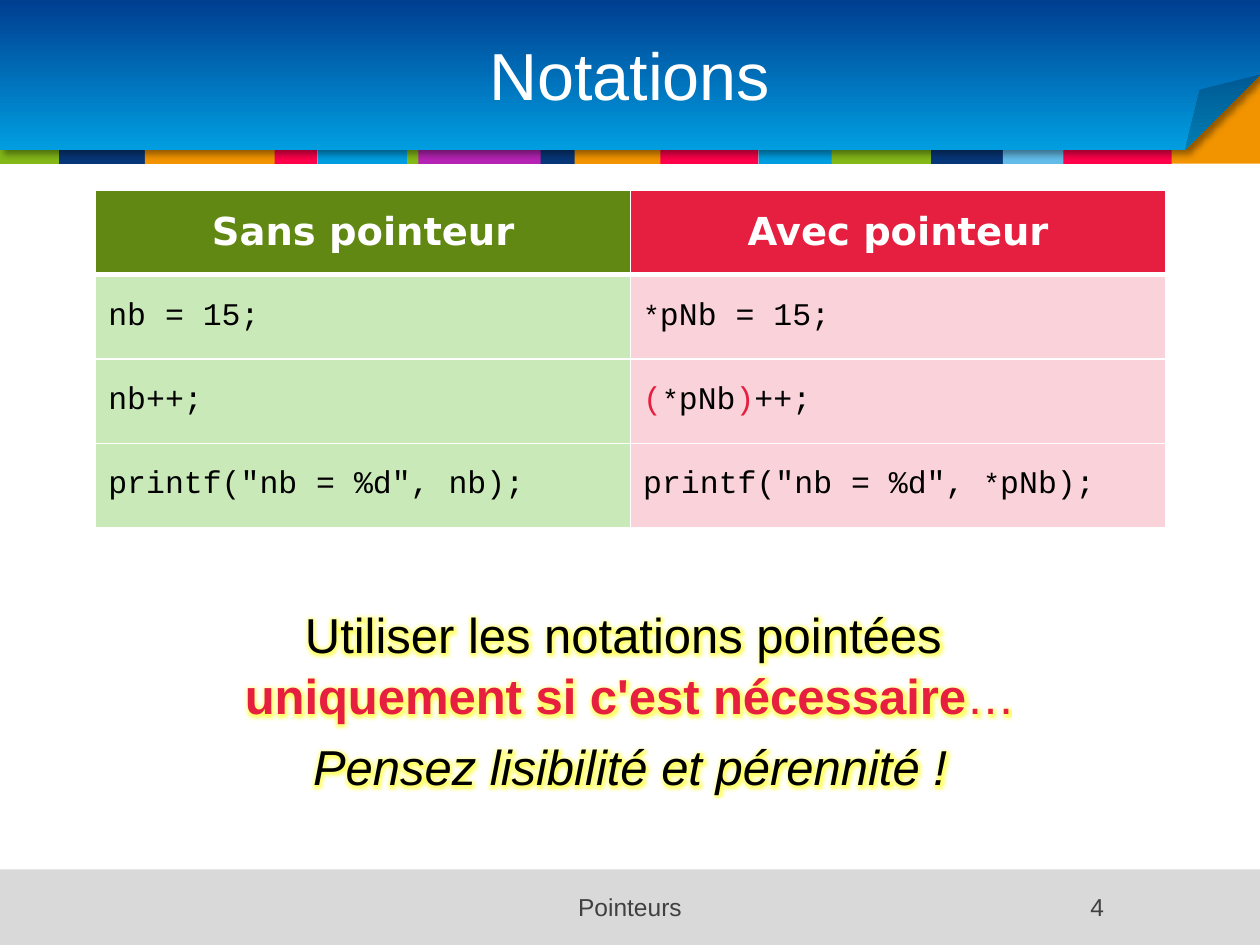
from lxml.etree import SubElement
from pptx import Presentation
from pptx.dml.color import RGBColor
from pptx.enum.shapes import MSO_SHAPE
from pptx.enum.text import MSO_ANCHOR, PP_ALIGN
from pptx.oxml import parse_xml
from pptx.oxml.ns import nsdecls, qn
from pptx.util import Inches, Pt

GREEN, ORANGE, NAVY, PINK = "83B818", "F29400", "073779", "FF014B"
BLUE, SKY, PURPLE = "009EE0", "62BCE9", "B523B4"
WHITE, BLACK, RED, GREY = "FFFFFF", "000000", "E61E3F", "404040"

# left, width, colour, from back to front
STRIPS = [
    (2.97, 0.51, GREEN), (0, 0.51, GREEN), (0.47, 0.69, NAVY),
    (1.15, 1.1, ORANGE), (2.18, 0.34, PINK), (2.52, 0.71, BLUE),
    (3.32, 1.01, PURPLE), (4.29, 0.28, NAVY), (4.56, 0.71, ORANGE),
    (5.24, 0.78, PINK), (6.02, 0.61, BLUE), (6.6, 0.91, GREEN),
    (7.39, 0.58, NAVY), (7.96, 0.5, SKY), (8.44, 0.86, PINK),
]

HEADERS = [("Sans pointeur", "618812"), ("Avec pointeur", RED)]
COLUMN_FILLS = ["C9EAB8", "FAD2D9"]
STAR = ("*", 16, BLACK)
CODE_ROWS = [
    ([("nb = 15;", 18, BLACK)],
     [STAR, ("pNb = 15;", 18, BLACK)]),
    ([("nb++;", 18, BLACK)],
     [("(", 18, RED), STAR, ("pNb", 18, BLACK), (")", 18, RED),
      ("++;", 18, BLACK)]),
    ([('printf("nb = %d", nb);', 18, BLACK)],
     [('printf("nb = %d", ', 18, BLACK), STAR, ("pNb);", 18, BLACK)]),
]


def rgb(color):
    return RGBColor.from_string(color)


def add_run(p, text, size, color, font="Arial", bold=False, italic=False):
    r = p.add_run()
    r.text = text
    r.font.size = Pt(size)
    r.font.name = font
    r.font.bold = bold
    r.font.italic = italic
    r.font.color.rgb = rgb(color)
    return r


def add_block(s, left, top, width, height, color, kind=MSO_SHAPE.RECTANGLE):
    sp = s.shapes.add_shape(kind, Inches(left), Inches(top), Inches(width), Inches(height))
    sp.shadow.inherit = False
    sp.line.fill.background()
    sp.fill.solid()
    sp.fill.fore_color.rgb = rgb(color)
    return sp


def add_text_box(s, left, top, width, height):
    sp = s.shapes.add_textbox(Inches(left), Inches(top), Inches(width), Inches(height))
    sp.text_frame.word_wrap = True
    return sp.text_frame


def add_band(s):
    """Blue header with a folded corner, fading from light at the bottom to dark."""
    sp = add_block(s, 0, 0, 10, 1.19, BLUE, MSO_SHAPE.FOLDED_CORNER)
    sp_pr = sp.element.spPr
    guides = sp_pr.find(qn("a:prstGeom")).get_or_add_avLst()
    for guide in list(guides):
        guides.remove(guide)
    SubElement(guides, qn("a:gd"), name="adj", fmla="val 50000")
    sp.fill.gradient()
    sp.fill.gradient_angle = 90
    for stop, color in zip(sp.fill.gradient_stops, (BLUE, "003E90")):
        stop.color.rgb = rgb(color)
    effects = sp_pr.find(qn("a:effectLst"))
    shadow = SubElement(effects, qn("a:outerShdw"), blurRad=str(Pt(4)),
                        dist=str(Pt(3)), dir="2700000", rotWithShape="0")
    color = SubElement(shadow, qn("a:srgbClr"), val=BLACK)
    SubElement(color, qn("a:alpha"), val="40000")


def set_title(s, text):
    title = s.shapes.title
    title.left, title.top = Inches(0.5), Inches(0.07)
    title.width, title.height = Inches(9), Inches(1.03)
    s.shapes.element.append(title.element)  # in front of the band
    title.text_frame.vertical_anchor = MSO_ANCHOR.MIDDLE
    p = title.text_frame.paragraphs[0]
    p.alignment = PP_ALIGN.CENTER
    add_run(p, text, 38, WHITE)


def set_borders(cell, bottom):
    tc_pr = cell._tc.get_or_add_tcPr()
    for i, (side, width) in enumerate(zip("LRTB", (1, 1, 1, bottom))):
        tc_pr.insert(i, parse_xml(
            f'<a:ln{side} {nsdecls("a")} w="{int(Pt(width))}"><a:solidFill>'
            f'<a:srgbClr val="{WHITE}"/></a:solidFill></a:ln{side}>'))


def format_cell(cell, fill, bottom=1):
    cell.fill.solid()
    cell.fill.fore_color.rgb = rgb(fill)
    cell.vertical_anchor = MSO_ANCHOR.MIDDLE
    set_borders(cell, bottom)
    return cell.text_frame.paragraphs[0]


def add_notation_table(s):
    frame = s.shapes.add_table(len(CODE_ROWS) + 1, 2, Inches(0.76), Inches(1.51),
                               Inches(8.49), Inches(2.68))
    table = frame.table
    table.horz_banding = False
    for col, (text, fill) in enumerate(HEADERS):
        p = format_cell(table.cell(0, col), fill, bottom=3)
        p.alignment = PP_ALIGN.CENTER
        add_run(p, text, 22, WHITE, "DejaVu Sans", bold=True)
    for row, cells in enumerate(CODE_ROWS, 1):
        for col, runs in enumerate(cells):
            p = format_cell(table.cell(row, col), COLUMN_FILLS[col])
            for text, size, color in runs:
                add_run(p, text, size, color, "Courier New")


def add_glow(r):
    fill = r.font._element.find(qn("a:solidFill"))
    fill.addnext(parse_xml(
        f'<a:effectLst {nsdecls("a")}><a:glow rad="{int(Pt(5))}"><a:srgbClr val="FFFF00">'
        '<a:alpha val="60000"/></a:srgbClr></a:glow></a:effectLst>'))


def add_advice(s):
    tf = add_text_box(s, 0.5, 4.73, 9, 1.6)
    p = tf.paragraphs[0]
    runs = [add_run(p, "Utiliser les notations pointées ", 28, BLACK)]
    p.add_line_break()
    runs.append(add_run(p, "uniquement si c'est nécessaire", 28, RED, bold=True))
    runs.append(add_run(p, "…", 28, RED))
    p = tf.add_paragraph()
    p.space_before = Pt(5.6)
    runs.append(add_run(p, "Pensez lisibilité et pérennité !", 28, BLACK, italic=True))
    for p in tf.paragraphs:
        p.alignment = PP_ALIGN.CENTER
        p.line_spacing = 1.04
    for r in runs:
        add_glow(r)


def add_footer_text(s, left, width, text, alignment):
    p = add_text_box(s, left, 7.03, width, 0.37).paragraphs[0]
    p.alignment = alignment
    add_run(p, text, 14, GREY)


def main():
    prs = Presentation()
    prs.slide_width, prs.slide_height = Inches(10), Inches(7.5)
    s = prs.slides.add_slide(prs.slide_layouts[5])
    add_block(s, 9.21, 0.47, 0.79, 0.83, ORANGE)
    for left, width, color in STRIPS:
        add_block(s, left, 0.81, width, 0.49, color)
    add_band(s)
    add_block(s, 0, 6.9, 10, 0.6, "D9D9D9")
    set_title(s, "Notations")
    add_advice(s)
    add_notation_table(s)
    add_footer_text(s, 2.56, 4.88, "Pointeurs", PP_ALIGN.CENTER)
    add_footer_text(s, 7.68, 1.18, "4", PP_ALIGN.RIGHT)
    prs.save("out.pptx")


if __name__ == "__main__":
    main()
